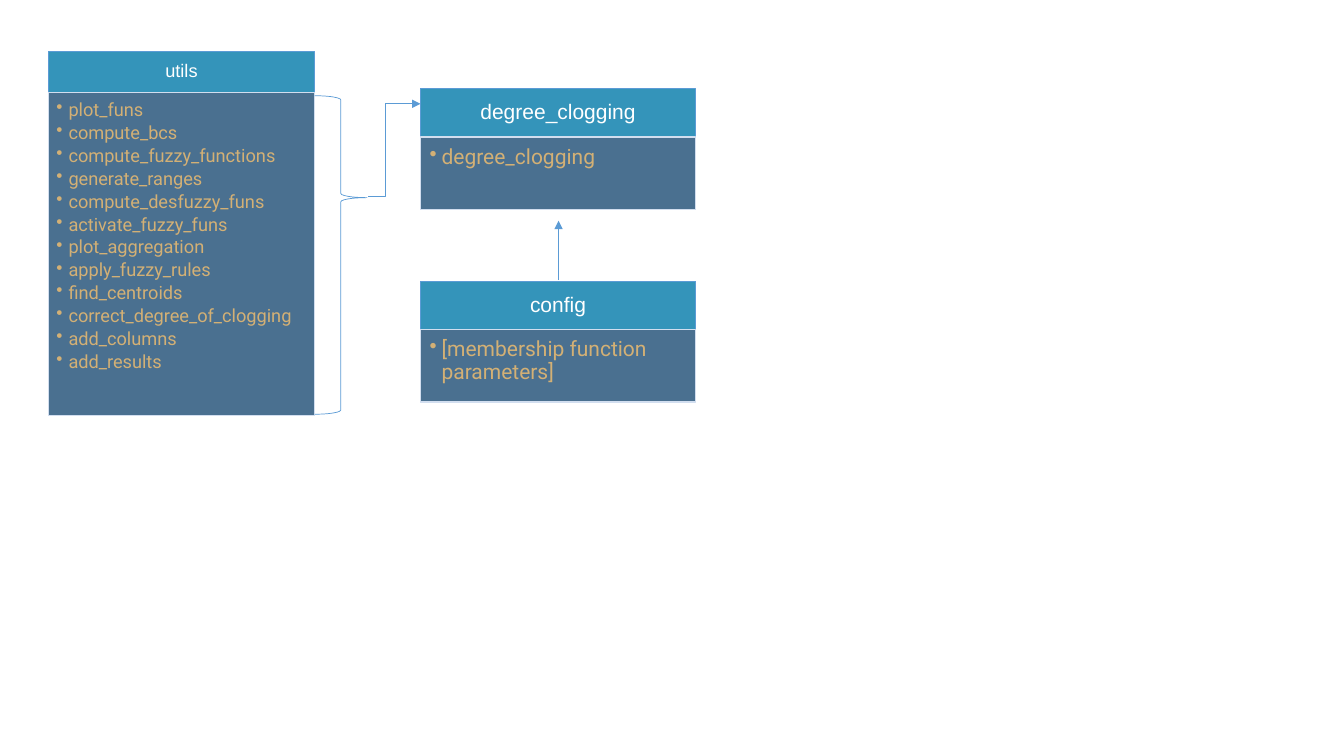
import pptx
import pptx.util
import pptx.dml.color
import pptx.enum.shapes
import pptx.enum.text
import pptx.oxml.ns
import pptx.oxml.xmlchemy

Inches = pptx.util.Inches
Pt = pptx.util.Pt
qn = pptx.oxml.ns.qn
OxmlElement = pptx.oxml.xmlchemy.OxmlElement
SHAPES = pptx.enum.shapes.MSO_SHAPE
CONNECTORS = pptx.enum.shapes.MSO_CONNECTOR
ALIGN = pptx.enum.text.PP_ALIGN
ANCHOR = pptx.enum.text.MSO_ANCHOR
COLORS = {
    "header": "3494BA",
    "body": "4A7090",
    "line": "5B9BD5",
    "body_line": "D2DEEF",
    "header_text": "FFFFFF",
    "body_text": "D3B075",
}


def color(name):
    return pptx.dml.color.RGBColor.from_string(COLORS[name])


def add_box(place, part, lines, size, font, margins):
    box = slide.shapes.add_shape(SHAPES.RECTANGLE, *map(Inches, place))
    box.shadow.inherit = False
    box.fill.solid()
    box.fill.fore_color.rgb = color(part)
    box.line.color.rgb = color("line" if part == "header" else "body_line")
    box.line.width = Pt(1)
    frame = box.text_frame
    frame.word_wrap = True
    frame.margin_left, frame.margin_top, frame.margin_right, frame.margin_bottom = map(Inches, margins)
    frame.vertical_anchor = ANCHOR.MIDDLE if part == "header" else ANCHOR.TOP
    frame.text = "\n".join(lines)
    for paragraph in frame.paragraphs:
        paragraph.alignment = ALIGN.CENTER if part == "header" else ALIGN.LEFT
        paragraph.line_spacing = 0.9
        run_font = paragraph.runs[0].font
        run_font.size = Pt(size)
        run_font.name = font
        run_font.color.rgb = color(part + "_text")
        if part == "body":
            paragraph.space_after = Pt(2.3)
            properties = paragraph._p.get_or_add_pPr()
            properties.set("marL", str(Inches(0.12)))
            properties.set("indent", str(Inches(-0.12)))
            bullet = OxmlElement("a:buChar")
            bullet.set("char", "•")
            properties.append(bullet)


presentation = pptx.Presentation()
presentation.slide_width = Inches(13.33)
presentation.slide_height = Inches(7.5)
slide = presentation.slides.add_slide(presentation.slide_layouts[6])

utils_functions = [
    "plot_funs",
    "compute_bcs",
    "compute_fuzzy_functions",
    "generate_ranges",
    "compute_desfuzzy_funs",
    "activate_fuzzy_funs",
    "plot_aggregation",
    "apply_fuzzy_rules",
    "find_centroids",
    "correct_degree_of_clogging",
    "add_columns",
    "add_results",
]
small_margins = [(0.1, 0.06, 0.1, 0.06), (0.08, 0.08, 0.1, 0.11)]
large_margins = [(0.12, 0.07, 0.12, 0.07), (0.09, 0.09, 0.12, 0.13)]
modules_shown = [
    ("utils", utils_functions, 0.48, 0.51, 2.64, 0.41, 3.2, 13, small_margins),
    ("degree_clogging", ["degree_clogging"], 4.17, 0.88, 2.73, 0.48, 0.72, 15, large_margins),
    ("config", ["[membership function parameters]"], 4.17, 2.79, 2.73, 0.48, 0.72, 15, large_margins),
]
for title, contents, left, top, width, header_height, body_height, size, margins in modules_shown:
    add_box((left, top, width, header_height), "header", [title], size, "Arial", margins[0])
    add_box((left, top + header_height, width, body_height), "body", contents, size, "Roboto", margins[1])

brace = slide.shapes.add_shape(
    SHAPES.RIGHT_BRACE, Inches(3.12), Inches(0.95), Inches(0.52), Inches(3.16))
brace.shadow.inherit = False
brace.fill.background()
brace.line.color.rgb = color("line")
brace.line.width = Pt(0.5)
brace.adjustments[0] = 0.08
brace.adjustments[1] = 0.32

arrows = [
    (CONNECTORS.STRAIGHT, 5.54, 2.78, 5.54, 2.19),
    (CONNECTORS.ELBOW, 3.65, 1.95, 4.17, 1.03),
]
for kind, *ends in arrows:
    arrow = slide.shapes.add_connector(kind, *map(Inches, ends))
    arrow.line.color.rgb = color("line")
    arrow.line.width = Pt(0.5)
    properties = arrow._element.spPr
    head = OxmlElement("a:tailEnd")
    head.set("type", "triangle")
    properties.find(qn("a:ln")).append(head)
    properties.append(OxmlElement("a:effectLst"))
    if kind == CONNECTORS.ELBOW:
        bend = OxmlElement("a:gd")
        bend.set("name", "adj1")
        bend.set("fmla", "val 34000")
        properties.find(qn("a:prstGeom")).get_or_add_avLst().append(bend)

presentation.save("out.pptx")
